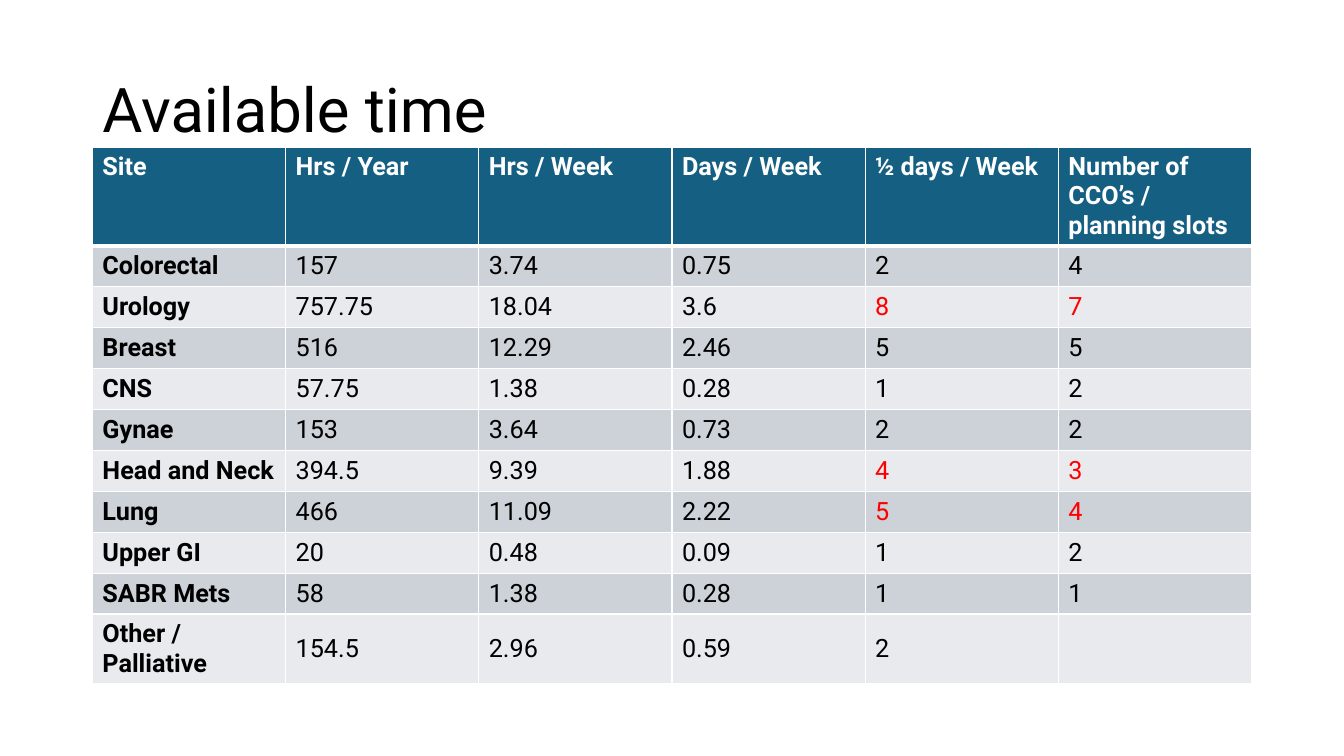
from lxml.etree import SubElement
from pptx import Presentation
from pptx.dml.color import RGBColor
from pptx.enum.text import MSO_ANCHOR as ANCHOR
from pptx.oxml.ns import qn
from pptx.util import Pt

PX = 9525  # EMU per px, 96 px to the inch
FONT = "Roboto"
WHITE, BLACK, RED = "FFFFFF", "000000", "FF0000"
HEADER_FILL, BANDS = "156082", ("CCD2D8", "E8EAED")

HEADERS = ("Site", "Hrs / Year", "Hrs / Week", "Days / Week",
           "½ days / Week", "Number of CCO’s / planning slots")
SITES = (
    ("Colorectal", "157", "3.74", "0.75", "2", "4"),
    ("Urology", "757.75", "18.04", "3.6", "8", "7"),
    ("Breast", "516", "12.29", "2.46", "5", "5"),
    ("CNS", "57.75", "1.38", "0.28", "1", "2"),
    ("Gynae", "153", "3.64", "0.73", "2", "2"),
    ("Head and Neck", "394.5", "9.39", "1.88", "4", "3"),
    ("Lung", "466", "11.09", "2.22", "5", "4"),
    ("Upper GI", "20", "0.48", "0.09", "1", "2"),
    ("SABR Mets", "58", "1.38", "0.28", "1", "1"),
    ("Other / Palliative", "154.5", "2.96", "0.59", "2", ""),
)


def rgb(color):
    return RGBColor.from_string(color)


def write(tf, text, size=18, color=BLACK, bold=False, spacing=None):
    p = tf.paragraphs[0]
    p.line_spacing = spacing
    p.font.size = Pt(size)
    if not text:
        return
    r = p.add_run()
    r.text = text
    r.font.name, r.font.size, r.font.bold = FONT, Pt(size), bold
    r.font.color.rgb = rgb(color)


def add_borders(cell, top=1, bottom=1):
    """Draw white cell borders; widths are in points."""
    tcPr = cell._tc.get_or_add_tcPr()
    for side, width in (("L", 1), ("R", 1), ("T", top), ("B", bottom)):
        ln = SubElement(tcPr, qn(f"a:ln{side}"), w=str(Pt(width)))
        SubElement(SubElement(ln, qn("a:solidFill")), qn("a:srgbClr"), val=WHITE)


def fill_cell(cell, text, fill, anchor=ANCHOR.MIDDLE, top=1, bottom=1, **fmt):
    add_borders(cell, top, bottom)
    cell.fill.solid()
    cell.fill.fore_color.rgb = rgb(fill)
    cell.vertical_anchor = anchor
    write(cell.text_frame, text, **fmt)


def place_title(s, text, x, y, w, h):
    title = s.shapes.title
    title.left, title.top, title.width, title.height = (v * PX for v in (x, y, w, h))
    tf = title.text_frame
    tf.word_wrap = True
    tf.vertical_anchor = ANCHOR.MIDDLE
    write(tf, text, size=44, spacing=0.9)
    tf.paragraphs[0].alignment = 1


def add_time_table(s, x, y, w, row_h):
    """Add the site table; sites with fewer slots than half days show in red."""
    rows, cols = len(SITES) + 1, len(HEADERS)
    table = s.shapes.add_table(rows, cols, x * PX, y * PX, w * PX,
                               rows * row_h * PX).table
    for c, text in enumerate(HEADERS):
        fill_cell(table.cell(0, c), text, HEADER_FILL, anchor=ANCHOR.TOP,
                  bottom=3, color=WHITE, bold=True)
    for r, site in enumerate(SITES, 1):
        half_days, slots = site[-2:]
        short = slots and int(slots) < int(half_days)
        for c, text in enumerate(site):
            fill_cell(table.cell(r, c), text, BANDS[(r - 1) % 2],
                      top=3 if r == 1 else 1, bold=c == 0,
                      color=RED if short and c >= cols - 2 else BLACK)


def main():
    prs = Presentation()
    prs.slide_width, prs.slide_height = 1280 * PX, 720 * PX
    s = prs.slides.add_slide(prs.slide_layouts[5])
    place_title(s, "Available time", 88, 38, 1104, 139)
    add_time_table(s, 88, 140, 1104, 39)
    prs.save("out.pptx")


if __name__ == "__main__":
    main()
